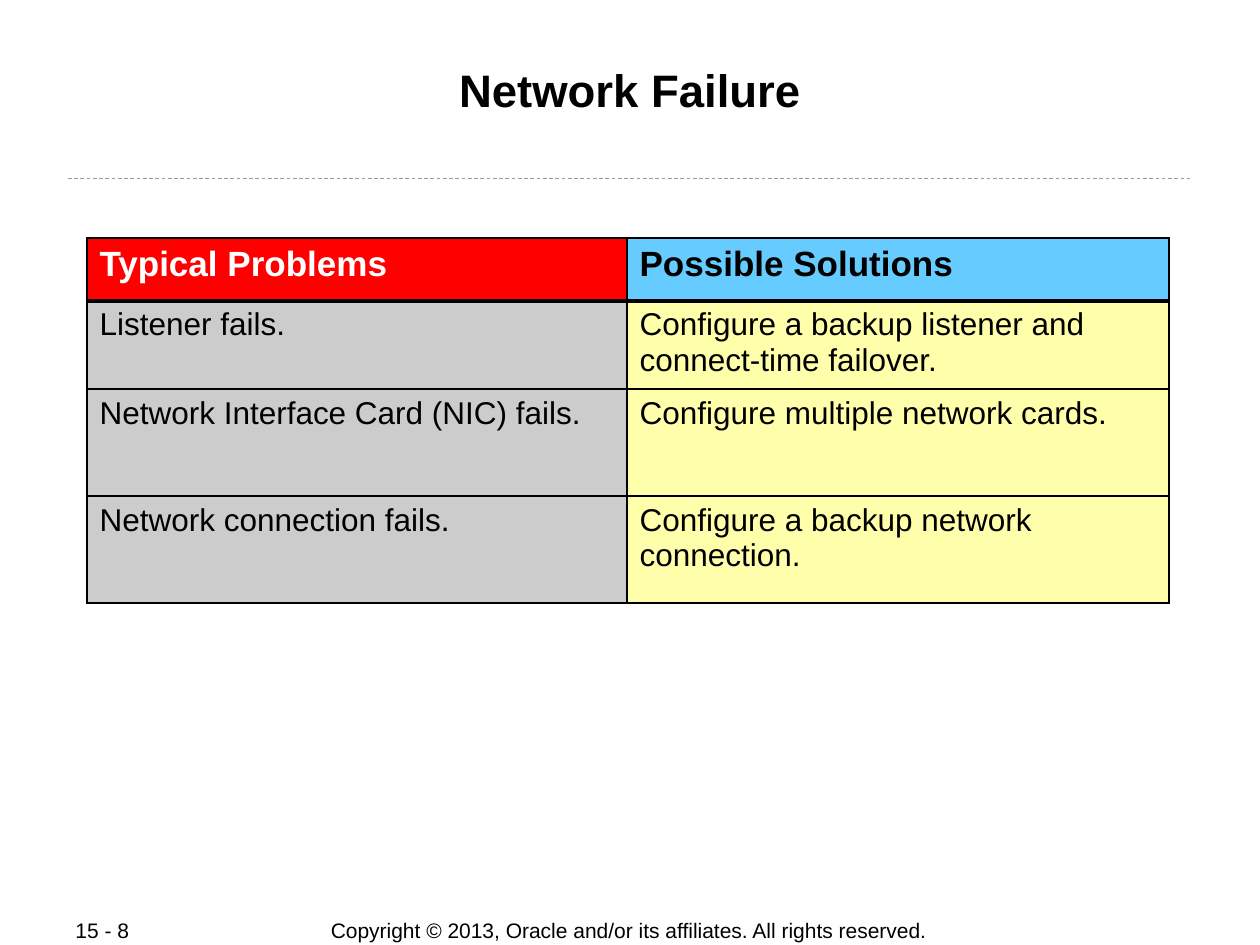
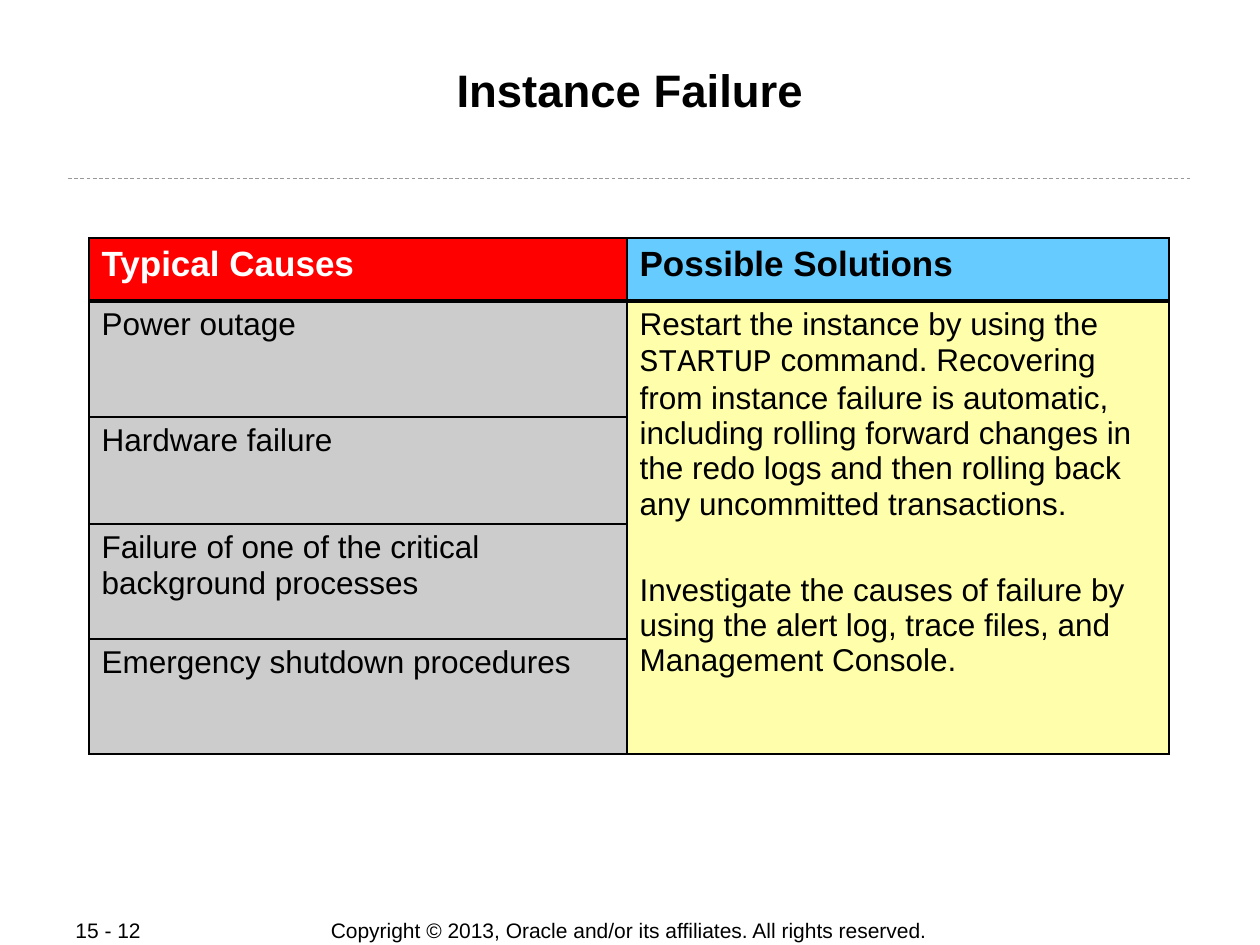
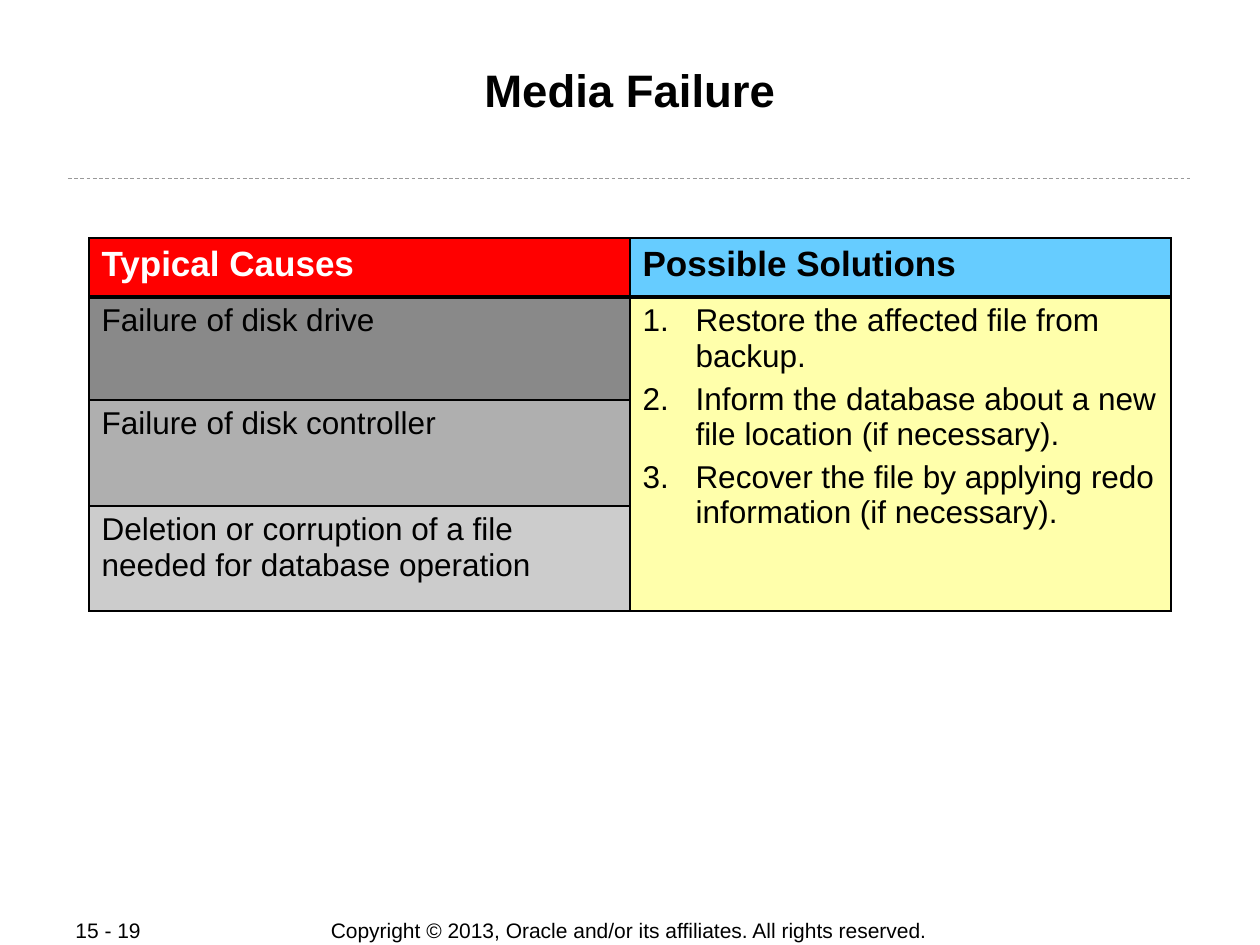
"""Build three slides on database failure types."""
from lxml.etree import SubElement
from pptx import Presentation
from pptx.dml.color import RGBColor
from pptx.enum.dml import MSO_LINE
from pptx.enum.shapes import MSO_CONNECTOR
from pptx.enum.text import MSO_ANCHOR, PP_ALIGN
from pptx.oxml.ns import qn
from pptx.util import Pt

BLACK = RGBColor(0x00, 0x00, 0x00)
WHITE = RGBColor(0xFF, 0xFF, 0xFF)
RED = RGBColor(0xFF, 0x00, 0x00)
BLUE = RGBColor(0x66, 0xCC, 0xFF)
CREAM = RGBColor(0xFF, 0xFF, 0xAB)
DARK = RGBColor(0x89, 0x89, 0x89)
MID = RGBColor(0xAF, 0xAF, 0xAF)
LIGHT = RGBColor(0xCC, 0xCC, 0xCC)
RULE = RGBColor(0x99, 0x99, 0x99)
SANS, MONO = "Arial", "Courier New"
THIN, THICK = Pt(1.08), Pt(2.21)
RIGHTS = "Copyright © 2013, Oracle and/or its affiliates. All rights reserved."


def px(n):
    return n * 914400 // 126


class Deck:
    """Hold the shared style and the current slide."""

    def __init__(self):
        self.prs = Presentation()
        self.prs.slide_width, self.prs.slide_height = px(1260), px(945)
        self.slide = None

    def page(self, title, number):
        self.slide = self.prs.slides.add_slide(self.prs.slide_layouts[6])
        self.text(RIGHTS, (309, 917, 640, 26), 12, PP_ALIGN.CENTER)
        self.rule(68, 1192, 178)
        self.text(f"15 - {number}", (63, 917, 134, 26), 12)
        frame = self.text(title, (84, 56, 1092, 121), 26, PP_ALIGN.CENTER, True)
        frame.vertical_anchor = MSO_ANCHOR.TOP

    def runs(self, para, text, size, color=BLACK, bold=False):
        for i, part in enumerate(text.split("`")):
            run = para.add_run()
            run.text = part
            font = run.font
            font.name = MONO if i % 2 else SANS
            font.size, font.bold = Pt(size), bold
            font.color.rgb = color

    def text(self, text, box, size, align=PP_ALIGN.LEFT, bold=False):
        frame = self.slide.shapes.add_textbox(*map(px, box)).text_frame
        frame.word_wrap = True
        frame.vertical_anchor = MSO_ANCHOR.MIDDLE
        para = frame.paragraphs[0]
        para.alignment = align
        self.runs(para, text, size, bold=bold)
        return frame

    def rule(self, left, right, y):
        line = self.slide.shapes.add_connector(
            MSO_CONNECTOR.STRAIGHT, px(left), px(y), px(right), px(y))
        line.line.color.rgb = RULE
        line.line.width = Pt(0.5)
        line.line.dash_style = MSO_LINE.DASH
        SubElement(line._element.spPr, qn("a:effectLst"))

    def edge(self, cell, side, width):
        line = SubElement(cell._tc.get_or_add_tcPr(), qn(f"a:ln{side}"), w=str(width))
        fill = SubElement(line, qn("a:solidFill"))
        SubElement(fill, qn("a:srgbClr"), val=str(BLACK))

    def cell(self, cell, text, row, fill, color=BLACK):
        for side, bold_row in (("L", None), ("R", None), ("T", 1), ("B", 0)):
            self.edge(cell, side, THICK if row == bold_row else THIN)
        cell.fill.solid()
        cell.fill.fore_color.rgb = fill
        frame = cell.text_frame
        for i, part in enumerate(text.split("\n")):
            para = frame.add_paragraph() if i else frame.paragraphs[0]
            if i:
                para.space_before = Pt(4.5)
            self.runs(para, part, 18 if row else 20, color, not row)

    def table(self, left, cols, rows, causes, cures, shades=None):
        shape = self.slide.shapes.add_table(
            len(rows), 2, px(left), px(238), px(sum(cols)), px(sum(rows)))
        grid = shape.table
        grid.first_row = grid.horz_banding = False
        for col, width in zip(grid.columns, cols):
            col.width = px(width)
        for row, height in zip(grid.rows, rows):
            row.height = px(height)
        if len(cures) < len(causes):
            grid.cell(1, 1).merge(grid.cell(len(causes) - 1, 1))
        shades = shades or [LIGHT] * (len(causes) - 1)
        for i, (text, fill) in enumerate(zip(causes, [RED] + shades)):
            self.cell(grid.cell(i, 0), text, i, fill, BLACK if i else WHITE)
        for i, text in enumerate(cures):
            self.cell(grid.cell(i, 1), text, i, CREAM if i else BLUE)
        return grid

    def number(self, paras):
        for para in paras:
            props = para._p.get_or_add_pPr()
            props.set("marL", str(px(53)))
            props.set("indent", str(-px(53)))
            SubElement(props, qn("a:buFont"), typeface=SANS)
            SubElement(props, qn("a:buAutoNum"), type="arabicPeriod")


def main():
    deck = Deck()

    deck.page("Network Failure", 8)
    deck.table(
        87, (540, 542), (63, 88, 107, 107),
        ["Typical Problems", "Listener fails.",
         "Network Interface Card (NIC) fails.", "Network connection fails."],
        ["Possible Solutions",
         "Configure a backup listener and connect-time failover.",
         "Configure multiple network cards.",
         "Configure a backup network connection."])

    deck.page("Instance Failure", 12)
    grid = deck.table(
        89, (538, 542), (63, 116, 107, 115, 115),
        ["Typical Causes", "Power outage", "Hardware failure",
         "Failure of one of the critical background processes",
         "Emergency shutdown procedures"],
        ["Possible Solutions",
         "Restart the instance by using the `STARTUP` command. Recovering from "
         "instance failure is automatic, including rolling forward changes in "
         "the redo logs and then rolling back any uncommitted transactions.\n"
         "Investigate the causes of failure by using the alert log, trace "
         "files, and Management Console."])
    grid.cell(1, 1).text_frame.paragraphs[1].space_before = Pt(29)

    deck.page("Media Failure", 19)
    grid = deck.table(
        89, (541, 541), (59, 103, 106, 105),
        ["Typical Causes", "Failure of disk drive", "Failure of disk controller",
         "Deletion or corruption of a file needed for database operation"],
        ["Possible Solutions",
         "Restore the affected file from backup.\n"
         "Inform the database about a new file location (if necessary).\n"
         "Recover the file by applying redo information (if necessary)."],
        [DARK, MID, LIGHT])
    deck.number(grid.cell(1, 1).text_frame.paragraphs)

    deck.prs.save("out.pptx")


if __name__ == "__main__":
    main()
